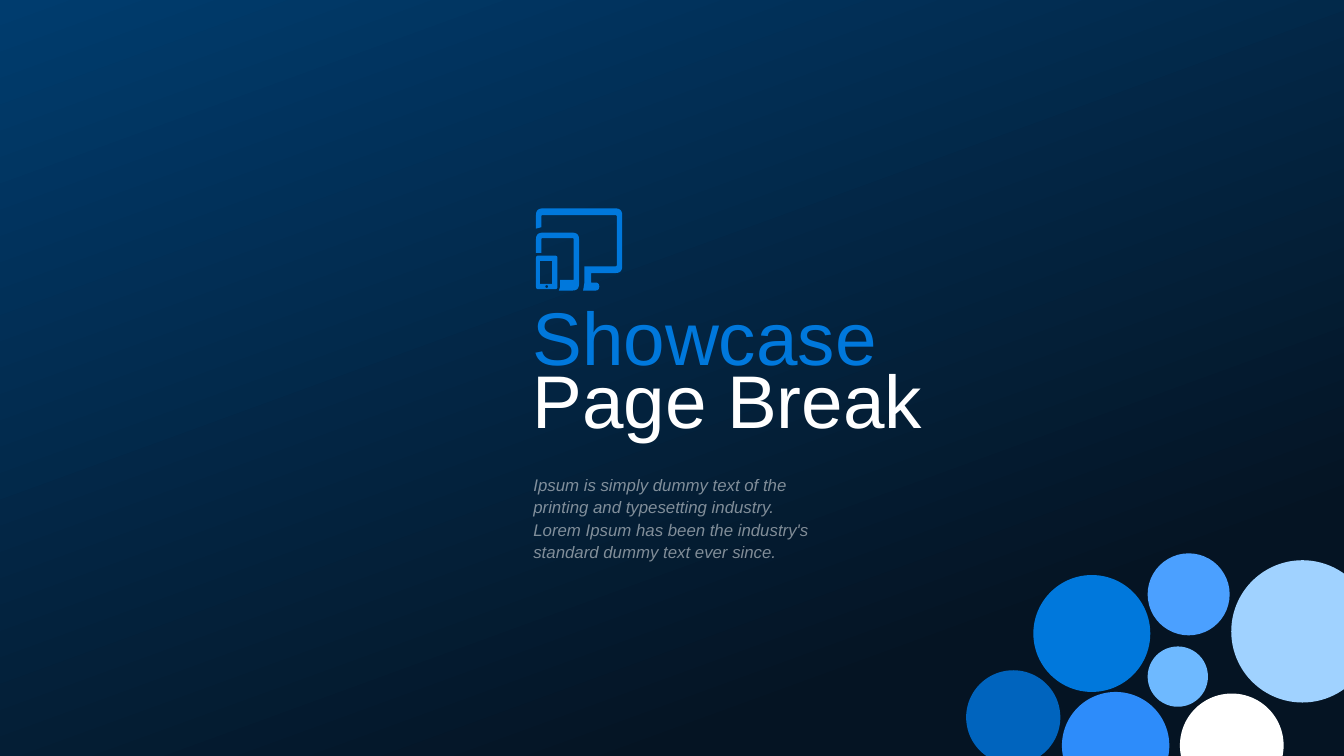
from dataclasses import dataclass
from math import hypot

from lxml import etree
from pptx import Presentation
from pptx.dml.color import RGBColor
from pptx.enum.shapes import MSO_SHAPE
from pptx.enum.text import MSO_ANCHOR, MSO_AUTO_SIZE, PP_ALIGN
from pptx.oxml.ns import qn
from pptx.util import Cm, Pt

RECT = MSO_SHAPE.RECTANGLE
OVAL = MSO_SHAPE.OVAL
MIDDLE = MSO_ANCHOR.MIDDLE
LEFT = PP_ALIGN.LEFT
FIXED = MSO_AUTO_SIZE.NONE


@dataclass(frozen=True)
class Theme:
    font: str = "Arial"
    night: str = "051423"
    navy: str = "003C6E"
    deep: str = "0064BE"
    blue: str = "0078DC"
    vivid: str = "2D8CFA"
    bright: str = "4BA0FF"
    sky: str = "6EB9FF"
    pale: str = "A0D2FF"
    white: str = "FFFFFF"
    head: int = 40
    body: int = 9
    lead: int = 12
    fade: int = 50


THEME = Theme()

BUBBLES = [
    (3.43, 0, 1.55, THEME.bright),
    (0, 2.21, 1.78, THEME.deep),
    (1.27, 0.41, 2.21, THEME.blue),
    (1.81, 2.62, 2.03, THEME.vivid),
    (3.43, 1.76, 1.14, THEME.sky),
    (5.01, 0.13, 2.69, THEME.pale),
    (4.04, 2.65, 1.96, THEME.white),
]

GRID = 64
FINE = 100
SCREEN = [
    (0, 0, 5), (64, 0, 5), (64, 48, 5), (41, 48, 0), (41, 55, 0),
    (47, 55, 3), (47, 61, 3), (35, 61, 0), (36, 55, 0), (36, 43, 0),
    (60, 43, 1), (60, 5, 1), (4, 5, 1), (4, 14, 0), (0, 15, 0),
]
TABLET = [
    (0, 18, 5), (32, 18, 5), (32, 61, 5), (17, 61, 0), (18, 58, 0),
    (18, 53, 0), (28, 53, 0), (28, 22, 1), (4, 22, 1), (4, 33, 0), (0, 33, 0),
]
PHONE = [(0, 35, 2), (16, 35, 2), (16, 60, 2), (0, 60, 2)]
GLASS = [(3, 56, 0), (12, 56, 0), (12, 39, 0), (3, 39, 0)]
BUTTON = [(7, 59, 1), (9, 59, 1), (9, 57, 1), (7, 57, 1)]


def color(code):
    return RGBColor.from_string(code)


def paint(shape, code):
    shape.shadow.inherit = False
    shape.fill.solid()
    shape.fill.fore_color.rgb = color(code)
    shape.line.fill.background()


def backdrop(slide, left, top, width, height):
    panel = slide.shapes.add_shape(RECT, left, top, width, height)
    panel.shadow.inherit = False
    panel.line.fill.background()
    panel.fill.gradient()
    panel.fill.gradient_angle = 110
    marks = [(0.2, THEME.night), (1, THEME.navy)]
    for stop, (place, code) in zip(panel.fill.gradient_stops, marks):
        stop.position = place
        stop.color.rgb = color(code)
    panel._element.getparent().insert(2, panel._element)


def cluster(slide, left, top):
    for x, y, size, code in BUBBLES:
        ball = slide.shapes.add_shape(
            OVAL, left + Cm(x), top + Cm(y), Cm(size), Cm(size))
        paint(ball, code)


def toward(start, end):
    dx, dy = end[0] - start[0], end[1] - start[1]
    span = hypot(dx, dy)
    return dx / span, dy / span


def soften(corners, steps=6):
    points = []
    for i, (x, y, bend) in enumerate(corners):
        back = toward(corners[i], corners[i - 1])
        ahead = toward(corners[i], corners[(i + 1) % len(corners)])
        for k in range(steps + 1 if bend else 1):
            t = k / steps
            near, far = bend * (1 - t) ** 2, bend * t ** 2
            points.append((round(FINE * (x + near * back[0] + far * ahead[0])),
                           round(FINE * (y + near * back[1] + far * ahead[1]))))
    return points


def icon(slide, left, top, width):
    first, *rest = map(soften, (SCREEN, TABLET, PHONE, GLASS, BUTTON))
    pen = slide.shapes.build_freeform(*first[0], scale=width / (GRID * FINE))
    pen.add_line_segments(first[1:], close=True)
    for points in rest:
        pen.move_to(*points[0])
        pen.add_line_segments(points[1:], close=True)
    paint(pen.convert_to_shape(left, top), THEME.blue)


def frame(holder, left, top, width, height):
    holder.left, holder.top = left, top
    holder.width, holder.height = width, height
    text = holder.text_frame
    text.margin_left = text.margin_right = 0
    text.margin_top = text.margin_bottom = 0
    text.word_wrap = True
    text.auto_size = FIXED
    text.vertical_anchor = MIDDLE
    return text


def write(para, words, size, code, space):
    para.alignment = LEFT
    para.line_spacing = space
    para.space_before = para.space_after = Pt(0)
    run = para.add_run()
    run.text = words
    run.font.name = THEME.font
    run.font.size = Pt(size)
    run.font.color.rgb = color(code)
    return run


def heading(slide, left, top, width, height):
    text = frame(slide.shapes.title, left, top, width, height)
    write(text.paragraphs[0], "Showcase", THEME.head, THEME.blue, 0.7)
    write(text.add_paragraph(), "Page Break", THEME.head, THEME.white, 0.7)


def blurb(slide, left, top, width, height):
    text = frame(slide.placeholders[1], left, top, width, height)
    words = ("Ipsum is simply dummy text of the printing and typesetting "
             "industry. Lorem Ipsum has been the industry's standard dummy "
             "text ever since.")
    run = write(text.paragraphs[0], words, THEME.body, THEME.white,
                Pt(THEME.lead))
    run.font.italic = True
    tint = run._r.find(".//" + qn("a:srgbClr"))
    etree.SubElement(tint, qn("a:alpha"), val=str(THEME.fade * 1000))


def main():
    deck = Presentation()
    deck.slide_width, deck.slide_height = Cm(25.4), Cm(14.29)
    slide = deck.slides.add_slide(deck.slide_layouts[0])
    backdrop(slide, Cm(-0.03), Cm(0), Cm(25.53), Cm(14.35))
    cluster(slide, Cm(18.26), Cm(10.46))
    heading(slide, Cm(10.06), Cm(5.64), Cm(7.44), Cm(3.02))
    blurb(slide, Cm(10.08), Cm(8.81), Cm(5.36), Cm(1.93))
    icon(slide, Cm(10.13), Cm(3.94), Cm(1.63))
    deck.save("out.pptx")


if __name__ == "__main__":
    main()
